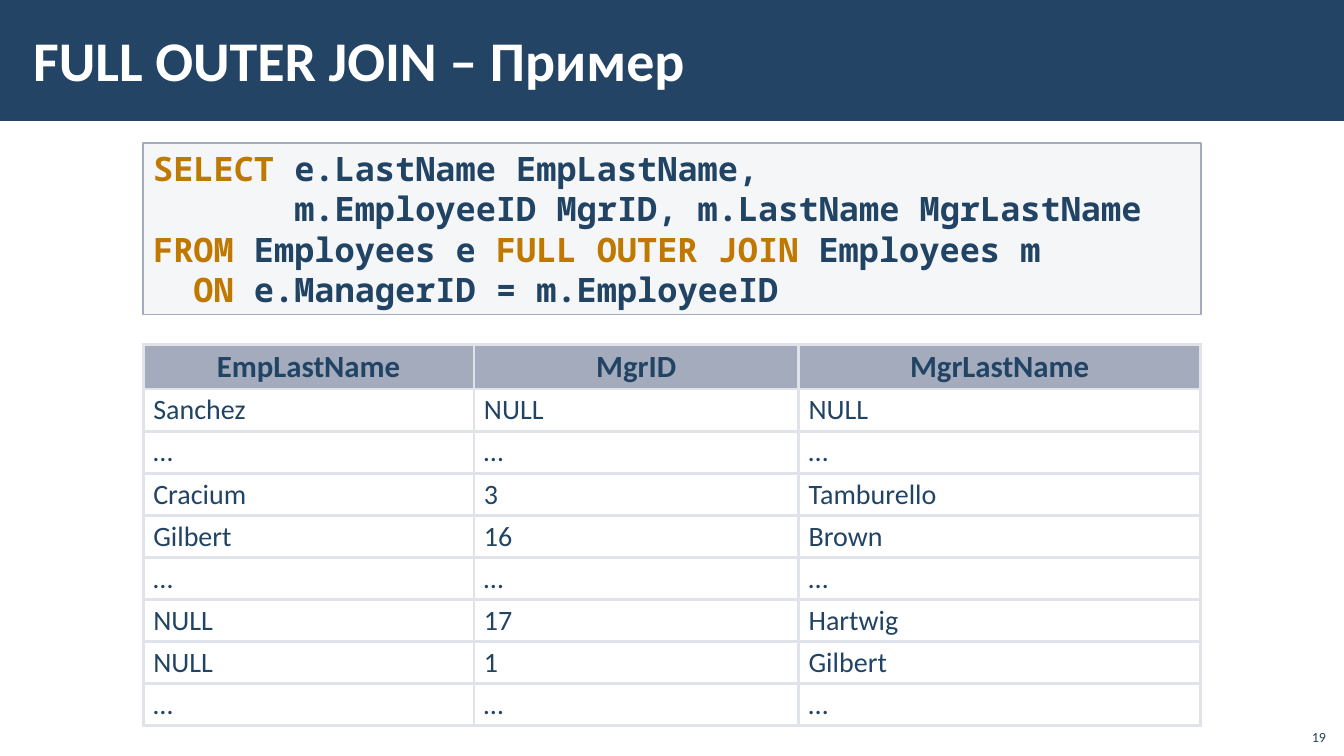
from lxml import etree
from pptx import Presentation
from pptx.dml.color import RGBColor
from pptx.enum.shapes import MSO_SHAPE
from pptx.enum.text import MSO_ANCHOR as ANCHOR, PP_ALIGN as ALIGN
from pptx.oxml.ns import qn
from pptx.util import Inches, Pt

NAVY, TEXT, KEYWORD, WHITE = "234465", "224464", "BF7800", "FFFFFF"
CODE_FILL, GREY, GRID = "C2C7D2", "A3ABBC", "E0E3E9"
BODY, MONO = "Calibri", "Noto Sans Mono"

TITLE = "FULL OUTER JOIN – Пример"
PAGE = "19"
# Each code line: indent in characters, then runs of (text, colour)
CODE = [
    (0, [("SELECT ", KEYWORD), ("e.LastName EmpLastName,", TEXT)]),
    (7, [("m.EmployeeID MgrID, m.LastName MgrLastName", TEXT)]),
    (0, [("FROM ", KEYWORD), ("Employees e ", TEXT),
         ("FULL OUTER JOIN ", KEYWORD), ("Employees m", TEXT)]),
    (2, [("ON ", KEYWORD), ("e.ManagerID = m.EmployeeID", TEXT)]),
]
CHAR_WIDTH = 0.2
ROWS = [
    ("EmpLastName", "MgrID", "MgrLastName"),
    ("Sanchez", "NULL", "NULL"),
    ("…", "…", "…"),
    ("Cracium", "3", "Tamburello"),
    ("Gilbert", "16", "Brown"),
    ("…", "…", "…"),
    ("NULL", "17", "Hartwig"),
    ("NULL", "1", "Gilbert"),
    ("…", "…", "…"),
]
COL_WIDTHS = (3.28, 3.22, 3.99)
TABLE_HEIGHT, HEADER_HEIGHT = 3.78, 0.44


def rgb(value):
    return RGBColor.from_string(value)


def add_text(p, text, size=20, font=BODY, color=TEXT, bold=False, align=ALIGN.LEFT):
    p.alignment = align
    r = p.add_run()
    r.text = text
    r.font.size, r.font.name, r.font.bold = Pt(size), font, bold
    r.font.color.rgb = rgb(color)


def set_frame(tf, anchor, x_margin=0.1, y_margin=0.05):
    tf.word_wrap = True
    tf.vertical_anchor = anchor
    tf.margin_left = tf.margin_right = Inches(x_margin)
    tf.margin_top = tf.margin_bottom = Inches(y_margin)
    return tf


def add_box(s, left, top, width, height, fill):
    sp = s.shapes.add_shape(MSO_SHAPE.RECTANGLE, Inches(left), Inches(top),
                            Inches(width), Inches(height))
    sp.shadow.inherit = False
    sp.fill.solid()
    sp.fill.fore_color.rgb = rgb(fill)
    sp.line.fill.background()
    return sp


def add_label(s, left, top, width, height, anchor, text, x_margin=0.1, **fmt):
    sp = s.shapes.add_textbox(Inches(left), Inches(top), Inches(width), Inches(height))
    tf = set_frame(sp.text_frame, anchor, x_margin)
    add_text(tf.paragraphs[0], text, **fmt)


def set_borders(cell, color, width):
    tc_pr = cell._tc.get_or_add_tcPr()
    for i, side in enumerate(("a:lnL", "a:lnR", "a:lnT", "a:lnB")):
        ln = etree.Element(qn(side), w=str(Pt(width)))
        fill = etree.SubElement(ln, qn("a:solidFill"))
        etree.SubElement(fill, qn("a:srgbClr"), val=color)
        tc_pr.insert(i, ln)


def add_code(s):
    sp = add_box(s, 1.42, 1.42, 10.49, 1.7, CODE_FILL)
    color = sp.fill._xPr.find(qn("a:solidFill"))[0]
    etree.SubElement(color, qn("a:alpha"), val="15000")
    sp.line.color.rgb = rgb(GREY)
    sp.line.width = Pt(1)
    tf = set_frame(sp.text_frame, ANCHOR.TOP)
    for i, (indent, runs) in enumerate(CODE):
        p = tf.add_paragraph() if i else tf.paragraphs[0]
        p._p.get_or_add_pPr().set("marL", str(Inches(indent * CHAR_WIDTH)))
        for text, color in runs:
            add_text(p, text, size=24, font=MONO, color=color, bold=True)


def add_result(s):
    table = s.shapes.add_table(len(ROWS), len(COL_WIDTHS), Inches(1.42), Inches(3.42),
                               Inches(sum(COL_WIDTHS)), Inches(TABLE_HEIGHT)).table
    table.horz_banding = False
    for col, width in zip(table.columns, COL_WIDTHS):
        col.width = Inches(width)
    row_height = (TABLE_HEIGHT - HEADER_HEIGHT) / (len(ROWS) - 1)
    for i, values in enumerate(ROWS):
        header = i == 0
        table.rows[i].height = Inches(HEADER_HEIGHT if header else row_height)
        for j, value in enumerate(values):
            cell = table.cell(i, j)
            cell.vertical_anchor = ANCHOR.MIDDLE
            cell.margin_top = cell.margin_bottom = Inches(0.04)
            if header:
                cell.fill.solid()
                cell.fill.fore_color.rgb = rgb(GREY)
            else:
                cell.fill.background()
            set_borders(cell, GRID, 2.21)
            p = cell.text_frame.paragraphs[0]
            p.line_spacing = 0.95
            add_text(p, value, size=22 if header else 20, bold=header,
                     align=ALIGN.CENTER if header else ALIGN.LEFT)


def main():
    prs = Presentation()
    prs.slide_width, prs.slide_height = Inches(13.33), Inches(7.5)
    s = prs.slides.add_slide(prs.slide_layouts[6])
    add_box(s, 0, 0, 13.33, 1.2, NAVY)
    add_label(s, 0.21, 0.11, 11.23, 0.96, ANCHOR.MIDDLE, TITLE, x_margin=0.12,
              size=40, color=WHITE, bold=True)
    add_code(s)
    add_result(s)
    add_label(s, 12.85, 7.12, 0.4, 0.32, ANCHOR.BOTTOM, PAGE,
              size=10, color=NAVY, align=ALIGN.RIGHT)
    prs.save("out.pptx")


if __name__ == "__main__":
    main()
